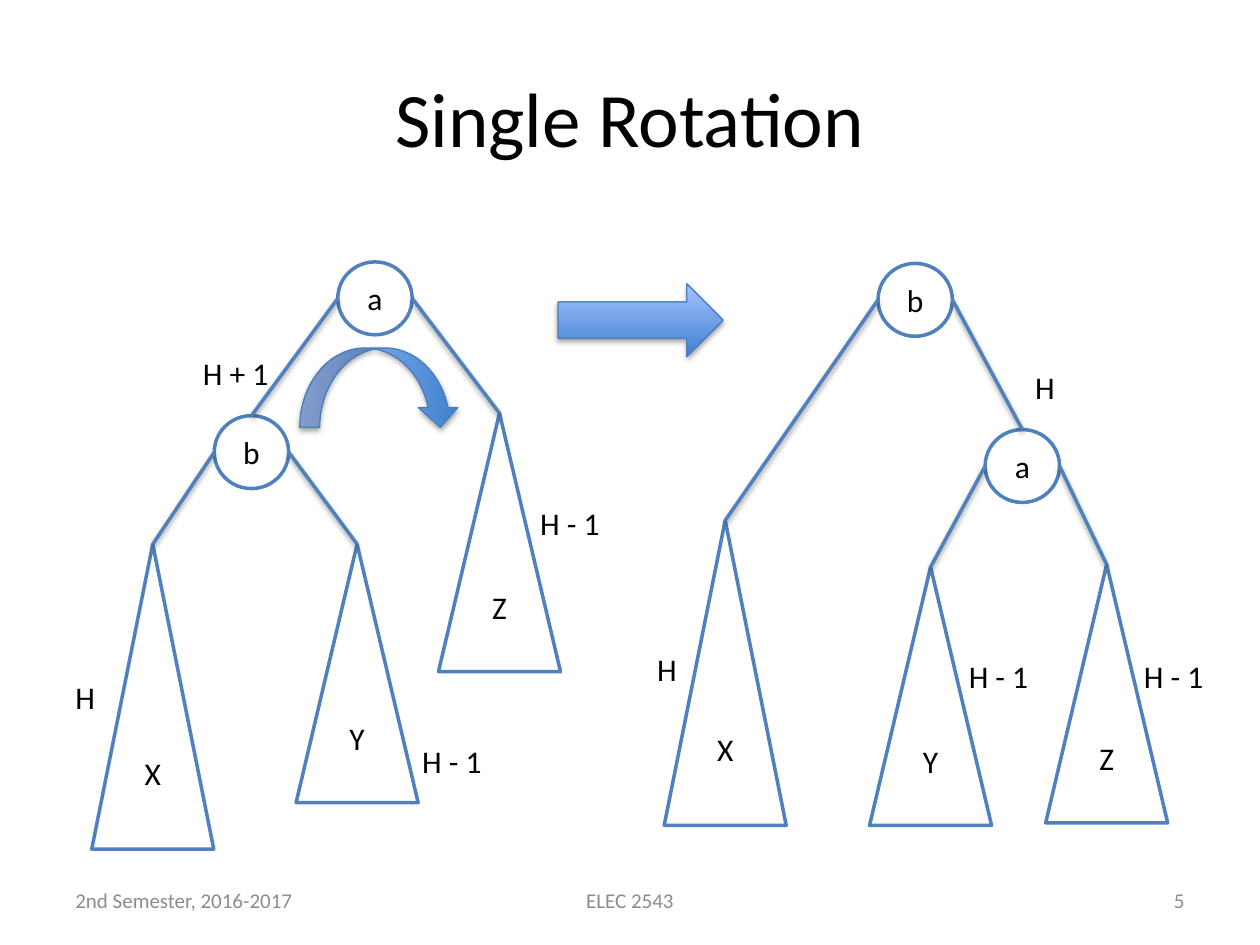
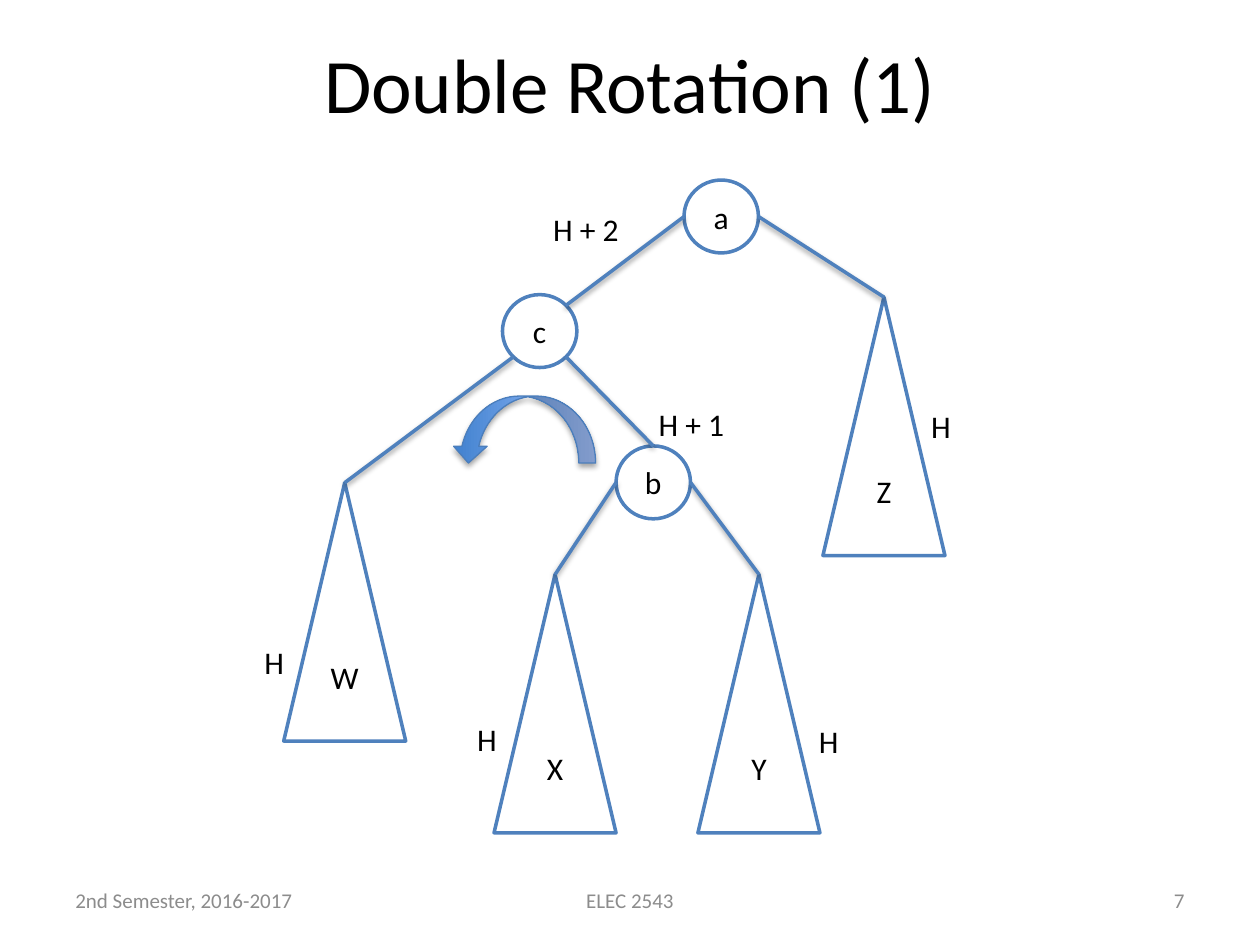
from lxml import etree
from pptx import Presentation
from pptx.dml.color import RGBColor
from pptx.enum.shapes import MSO_CONNECTOR as LINK, MSO_SHAPE as FORM
from pptx.enum.text import MSO_ANCHOR as ANCHOR, MSO_AUTO_SIZE as FIT, PP_ALIGN as ALIGN
from pptx.oxml.ns import qn
from pptx.util import Cm, Pt

# Shared look
BLACK = RGBColor(0x00, 0x00, 0x00)
WHITE = RGBColor(0xFF, 0xFF, 0xFF)
GREY = RGBColor(0x8C, 0x8C, 0x8C)
BLUE = RGBColor(0x4F, 0x81, 0xBD)
RIM = RGBColor(0x4B, 0x7E, 0xBC)
DEEP = RGBColor(0x3F, 0x80, 0xCE)
PALE = RGBColor(0xA4, 0xC4, 0xFF)
BODY = {"name": "Calibri", "size": Pt(18)}
HEAD = {"name": "Calibri", "size": Pt(44)}
FOOT = {"name": "Calibri", "size": Pt(12)}

# Sizes in cm: node circles, short and tall subtrees, labels by text
SIZES = {
    "node": (FORM.OVAL, 1.5, 1.47),
    "short": (FORM.ISOSCELES_TRIANGLE, 2.46, 5.21),
    "tall": (FORM.ISOSCELES_TRIANGLE, 2.46, 6.15),
}
WIDTHS = {"H": 0.91, "H - 1": 1.73, "H + 1": 1.85, "H + 2": 1.85}

# Where an edge meets a shape, as fractions of its width and height
SITES = {"N": (0.5, 0), "W": (0, 0.5), "E": (1, 0.5),
         "SW": (0.15, 0.85), "SE": (0.85, 0.85), "NE": (0.85, 0.15)}

# Each tree: parts (name, kind, left, top), edges (from, site, to, site)
BEFORE = (
    [("a", "node", 6.81, 5.28), ("b", "node", 4.32, 8.38),
     ("Z", "short", 8.84, 8.33), ("X", "tall", 1.85, 10.97),
     ("Y", "short", 5.97, 10.97)],
    [("b", "W", "X", "N"), ("b", "E", "Y", "N"),
     ("a", "W", "b", "N"), ("a", "E", "Z", "N")],
)
AFTER = (
    [("a", "node", 19.86, 8.66), ("b", "node", 17.7, 5.31),
     ("Z", "short", 21.08, 11.38), ("X", "tall", 13.39, 10.49),
     ("Y", "short", 17.53, 11.43)],
    [("b", "W", "X", "N"), ("a", "E", "Z", "N"),
     ("a", "W", "Y", "N"), ("b", "E", "a", "N")],
)
DOUBLE = (
    [("a", "node", 13.79, 3.63), ("b", "node", 12.42, 8.99),
     ("c", "node", 10.13, 5.94), ("Z", "short", 16.59, 5.99),
     ("X", "short", 9.96, 11.58), ("Y", "short", 14.07, 11.58),
     ("W", "short", 5.72, 9.73)],
    [("b", "W", "X", "N"), ("b", "E", "Y", "N"), ("a", "E", "Z", "N"),
     ("a", "W", "c", "NE"), ("c", "SE", "b", "N"), ("c", "SW", "W", "N")],
)

# Each slide: title, title top, number, trees, labels, arrows (form, box, turn)
SLIDES = [
    ("Single Rotation", 0.76, "5", [BEFORE, AFTER],
     [("H", 1.27, 13.54), ("H - 1", 8.26, 14.83), ("H - 1", 10.64, 10.03),
      ("H", 13, 12.98), ("H - 1", 19.28, 13.13), ("H - 1", 22.81, 13.13),
      ("H + 1", 3.84, 7.01), ("H", 20.62, 7.29)],
     [(FORM.RIGHT_ARROW, (11.25, 5.72, 3.33, 1.47), 0),
      (FORM.CURVED_LEFT_ARROW, (6.86, 6.2, 1.6, 3.23), 270)]),
    ("Double Rotation (1)", 0.08, "7", [DOUBLE],
     [("H", 9.37, 14.4), ("H", 16.26, 14.43), ("H", 5.08, 12.83),
      ("H", 18.52, 8.08), ("H + 1", 13.03, 8.05), ("H + 2", 10.9, 4.11)],
     [(FORM.CURVED_RIGHT_ARROW, (9.88, 7.21, 1.35, 2.9), 90)]),
]


def write(shape, text, style, color, align, anchor=ANCHOR.MIDDLE):
    frame = shape.text_frame
    frame.vertical_anchor = anchor
    para = frame.paragraphs[0]
    para.alignment = align
    run = para.add_run()
    run.text = text
    for key, value in style.items():
        setattr(run.font, key, value)
    run.font.color.rgb = color


def shade(props, dist, alpha):
    for old in props.findall(qn("a:effectLst")):
        props.remove(old)
    list_ = etree.SubElement(props, qn("a:effectLst"))
    drop = etree.SubElement(list_, qn("a:outerShdw"), blurRad="40000", dist=str(dist),
                            dir="5400000", rotWithShape="0")
    tint = etree.SubElement(drop, qn("a:srgbClr"), val=str(BLACK))
    etree.SubElement(tint, qn("a:alpha"), val=str(alpha * 1000))


deck = Presentation()
deck.slide_width, deck.slide_height = Cm(25.4), Cm(19.05)

for title, top, number, trees, labels, arrows in SLIDES:
    slide = deck.slides.add_slide(deck.slide_layouts[5])
    shapes = slide.shapes

    # Title
    head = shapes.title
    place = {"left": Cm(1.27), "top": Cm(top), "width": Cm(22.86), "height": Cm(3.18)}
    for key, value in place.items():
        setattr(head, key, value)
    write(head, title, HEAD, BLACK, ALIGN.CENTER)

    # Footer
    for text, left, width, align in [
        ("2nd Semester, 2016-2017", 1.27, 5.93, ALIGN.LEFT),
        ("ELEC 2543", 8.68, 8.04, ALIGN.CENTER),
        (number, 18.2, 5.93, ALIGN.RIGHT),
    ]:
        box = shapes.add_textbox(Cm(left), Cm(17.65), Cm(width), Cm(1.01))
        box.text_frame.word_wrap = True
        write(box, text, FOOT, GREY, align)

    for parts, edges in trees:
        # Nodes and subtrees
        made = {}
        for name, kind, left, top in parts:
            form, width, height = SIZES[kind]
            part = shapes.add_shape(form, Cm(left), Cm(top), Cm(width), Cm(height))
            part.shadow.inherit = False
            part.fill.solid()
            part.fill.fore_color.rgb = WHITE
            part.line.color.rgb = BLUE
            part.line.width = Pt(2)
            write(part, name, BODY, BLACK, ALIGN.CENTER)
            made[name] = part

        # Edges
        for start, out, end, into in edges:
            ends = []
            for name, site in [(start, out), (end, into)]:
                part, (across, down) = made[name], SITES[site]
                ends += [int(part.left + across * part.width),
                         int(part.top + down * part.height)]
            edge = shapes.add_connector(LINK.STRAIGHT, *ends)
            edge.line.color.rgb = BLUE
            edge.line.width = Pt(2)
            shade(edge._element.spPr, 20000, 38)

    # Rotation arrows
    for form, box, turn in arrows:
        arrow = shapes.add_shape(form, *map(Cm, box))
        arrow.rotation = turn
        arrow.fill.gradient()
        arrow.fill.gradient_angle = 90
        for stop, color in zip(arrow.fill.gradient_stops, (DEEP, PALE)):
            stop.color.rgb = color
        arrow.line.color.rgb = RIM
        arrow.line.width = Pt(0.75)
        shade(arrow._element.spPr, 23000, 35)

    # Height labels
    for text, left, top in labels:
        label = shapes.add_textbox(Cm(left), Cm(top), Cm(WIDTHS[text]), Cm(1.03))
        label.text_frame.word_wrap = False
        label.text_frame.auto_size = FIT.SHAPE_TO_FIT_TEXT
        write(label, text, BODY, BLACK, ALIGN.LEFT, ANCHOR.TOP)

deck.save("out.pptx")
